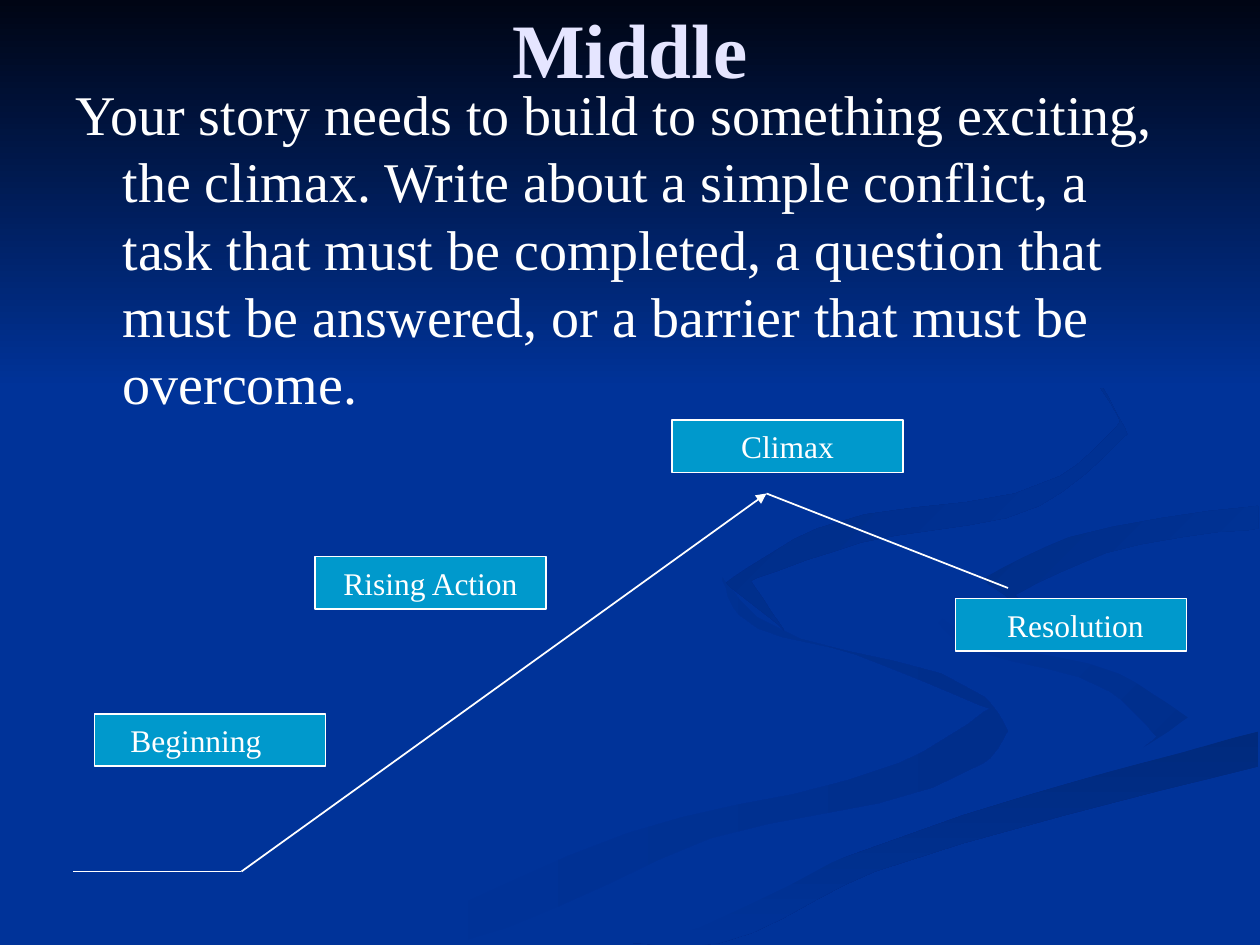
from math import dist

from lxml.etree import SubElement
from pptx import Presentation
from pptx.dml.color import RGBColor
from pptx.enum.shapes import MSO_CONNECTOR, MSO_SHAPE
from pptx.enum.text import MSO_ANCHOR, PP_ALIGN
from pptx.oxml.ns import qn
from pptx.util import Pt

BLUE = RGBColor(0x00, 0x33, 0x99)
NIGHT = RGBColor(0x00, 0x05, 0x14)
TEAL = RGBColor(0x00, 0x99, 0xCC)
WHITE = RGBColor(0xFF, 0xFF, 0xFF)
LAVENDER = RGBColor(0xE5, 0xE5, 0xFF)
SHADE_LOW = RGBColor(0x00, 0x2E, 0x8B)
SHADE_BAND = RGBColor(0x00, 0x2A, 0x7D)
SHADE_BEND = RGBColor(0x00, 0x2D, 0x86)
SHADE_TOP = RGBColor(0x00, 0x2B, 0x82)

FONT = "Times New Roman"
TITLE_FONT = {"name": FONT, "size": Pt(44), "bold": True}
BODY_FONT = {"name": FONT, "size": Pt(32)}
LABEL_FONT = {"name": FONT, "size": Pt(18)}
LABEL_SIZE = (Pt(132), Pt(30))
WIDTH, HEIGHT = 720, 540
CURVE_STEPS = 5
CORNER_COSINE = 0.3

BODY = ("Your story needs to build to something exciting, the climax. "
        "Write about a simple conflict, a task that must be completed, "
        "a question that must be answered, or a barrier that must be overcome.")

# Background ribbons: first colour, last colour, clockwise angle, knots in points
RIBBONS = [
    (BLUE, SHADE_LOW, 0, [
        (562, 398), (433, 353), (413, 330), (422, 351), (489, 374), (566, 405), (514, 436),
        (359, 476), (216, 539), (260, 539), (406, 479), (562, 436), (576, 418)]),
    (BLUE, SHADE_LOW, 45, [
        (679, 410), (639, 385), (546, 359), (521, 334), (544, 364), (634, 395), (661, 421),
        (644, 436), (675, 422)]),
    (SHADE_BAND, BLUE, 90, [
        (362, 539), (411, 539), (500, 498), (719, 438), (719, 418), (550, 466), (410, 518)]),
    (BLUE, BLUE, 0, [
        (522, 334), (546, 359), (640, 385), (679, 410), (634, 438), (507, 472), (343, 539),
        (374, 538), (501, 482), (719, 418), (719, 387), (624, 366), (562, 331), (612, 307),
        (719, 289), (719, 279), (567, 304)]),
    (SHADE_BEND, BLUE, 45, [
        (562, 331), (595, 357), (580, 340), (632, 316), (719, 302), (719, 289), (611, 307)]),
    (SHADE_TOP, BLUE, 45, [
        (492, 310), (594, 289), (644, 248), (622, 210), (549, 168), (616, 205), (640, 241),
        (606, 272), (467, 302), (415, 333), (448, 360), (429, 332)]),
]

# Label, left, top, indent of left-aligned text (None centres it)
STAGES = [
    ("Beginning", 54, 408, 20.5),
    ("Rising Action", 180, 318, None),
    ("Climax", 384, 240, None),
    ("Resolution", 546, 342, 29.5),
]
OPENING, RISE, PEAK, ENDING = (42, 498), (138, 498), (438, 282), (576, 336)


def apply_format(target, values):
    for attribute, value in values.items():
        setattr(target, attribute, value)


def direction(before, knot, after):
    """Unit tangent at a knot, or zero where the outline has a corner."""
    arriving = [(b - a) / dist(before, knot) for a, b in zip(before, knot)]
    leaving = [(b - a) / dist(knot, after) for a, b in zip(knot, after)]
    if sum(a * b for a, b in zip(arriving, leaving)) < CORNER_COSINE:
        return 0, 0
    total = [a + b for a, b in zip(arriving, leaving)]
    return [part / dist((0, 0), total) for part in total]


def curve_through(knots):
    """Closed Hermite curve that stays on the slide."""
    count = len(knots)
    tangents = [direction(knots[i - 1], knots[i], knots[(i + 1) % count])
                for i in range(count)]
    points = []
    for i, start in enumerate(knots):
        following = (i + 1) % count
        end, length = knots[following], dist(start, knots[following])
        for step in range(CURVE_STEPS):
            t = step / CURVE_STEPS
            x, y = (
                a * (1 + 2 * t) * (1 - t) ** 2 + b * t * t * (3 - 2 * t)
                + length * (u * t * (1 - t) ** 2 - v * t * t * (1 - t))
                for a, b, u, v in zip(start, end, tangents[i], tangents[following]))
            points.append((min(x, WIDTH), min(y, HEIGHT)))
    return points


def write(frame, text, font, color, frame_format, paragraph_format):
    apply_format(frame, frame_format)
    paragraph = frame.paragraphs[0]
    apply_format(paragraph, paragraph_format)
    run = paragraph.add_run()
    run.text = text
    apply_format(run.font, font)
    run.font.color.rgb = color
    return paragraph


def shade(area, first, last, angle):
    area.shadow.inherit = False
    area.line.fill.background()
    if first == last:
        area.fill.solid()
        area.fill.fore_color.rgb = first
        return
    area.fill.gradient()
    area.fill.gradient_angle = (360 - angle) % 360
    for stop, color in zip(area.fill.gradient_stops, (first, last)):
        stop.color.rgb = color


def add_ribbon(slide, first, last, angle, knots):
    outline = curve_through(knots)
    builder = slide.shapes.build_freeform(*outline[0], scale=Pt(1))
    builder.add_line_segments(outline[1:], close=True)
    shade(builder.convert_to_shape(), first, last, angle)


def add_night_sky(slide):
    sky = slide.shapes.add_shape(MSO_SHAPE.RECTANGLE, Pt(0), Pt(0), Pt(WIDTH), Pt(222))
    shade(sky, NIGHT, BLUE, 90)


def add_stage(slide, label, left, top, indent):
    stage = slide.shapes.add_shape(MSO_SHAPE.RECTANGLE, Pt(left), Pt(top), *LABEL_SIZE)
    stage.shadow.inherit = False
    stage.fill.solid()
    stage.fill.fore_color.rgb = TEAL
    stage.line.color.rgb = WHITE
    stage.line.width = Pt(1)
    frame_format = {"vertical_anchor": MSO_ANCHOR.MIDDLE, "word_wrap": True}
    alignment = PP_ALIGN.CENTER
    if indent is not None:
        frame_format["margin_left"] = Pt(indent)
        alignment = PP_ALIGN.LEFT
    write(stage.text_frame, label, LABEL_FONT, WHITE, frame_format, {"alignment": alignment})


def add_plot_line(slide, start, end, arrow=False):
    plot_line = slide.shapes.add_connector(
        MSO_CONNECTOR.STRAIGHT, *(Pt(value) for value in start + end))
    plot_line.line.color.rgb = WHITE
    plot_line.line.width = Pt(1)
    if arrow:
        SubElement(plot_line.line._get_or_add_ln(), qn("a:tailEnd"), type="triangle")
    SubElement(plot_line._element.spPr, qn("a:effectLst"))


def add_heading(slide):
    heading = slide.shapes.add_textbox(Pt(36), Pt(-18), Pt(648), Pt(90))
    write(heading.text_frame, "Middle", TITLE_FONT, LAVENDER,
          {"word_wrap": True, "vertical_anchor": MSO_ANCHOR.MIDDLE},
          {"alignment": PP_ALIGN.CENTER})


def add_advice(slide):
    advice = slide.shapes.add_textbox(Pt(36), Pt(42), Pt(648), Pt(356))
    paragraph = write(advice.text_frame, BODY, BODY_FONT, WHITE,
                      {"word_wrap": True}, {"space_before": Pt(8)})
    hanging = paragraph._p.get_or_add_pPr()
    hanging.set("marL", str(Pt(27)))
    hanging.set("indent", str(Pt(-27)))


def main():
    presentation = Presentation()
    apply_format(presentation, {"slide_width": Pt(WIDTH), "slide_height": Pt(HEIGHT)})
    slide = presentation.slides.add_slide(presentation.slide_layouts[6])
    slide.background.fill.solid()
    slide.background.fill.fore_color.rgb = BLUE
    for ribbon in RIBBONS:
        add_ribbon(slide, *ribbon)
    add_night_sky(slide)
    add_heading(slide)
    add_advice(slide)
    for stage in STAGES:
        add_stage(slide, *stage)
    add_plot_line(slide, RISE, PEAK, arrow=True)
    add_plot_line(slide, PEAK, ENDING)
    add_plot_line(slide, OPENING, RISE)
    presentation.save("out.pptx")


if __name__ == "__main__":
    main()
